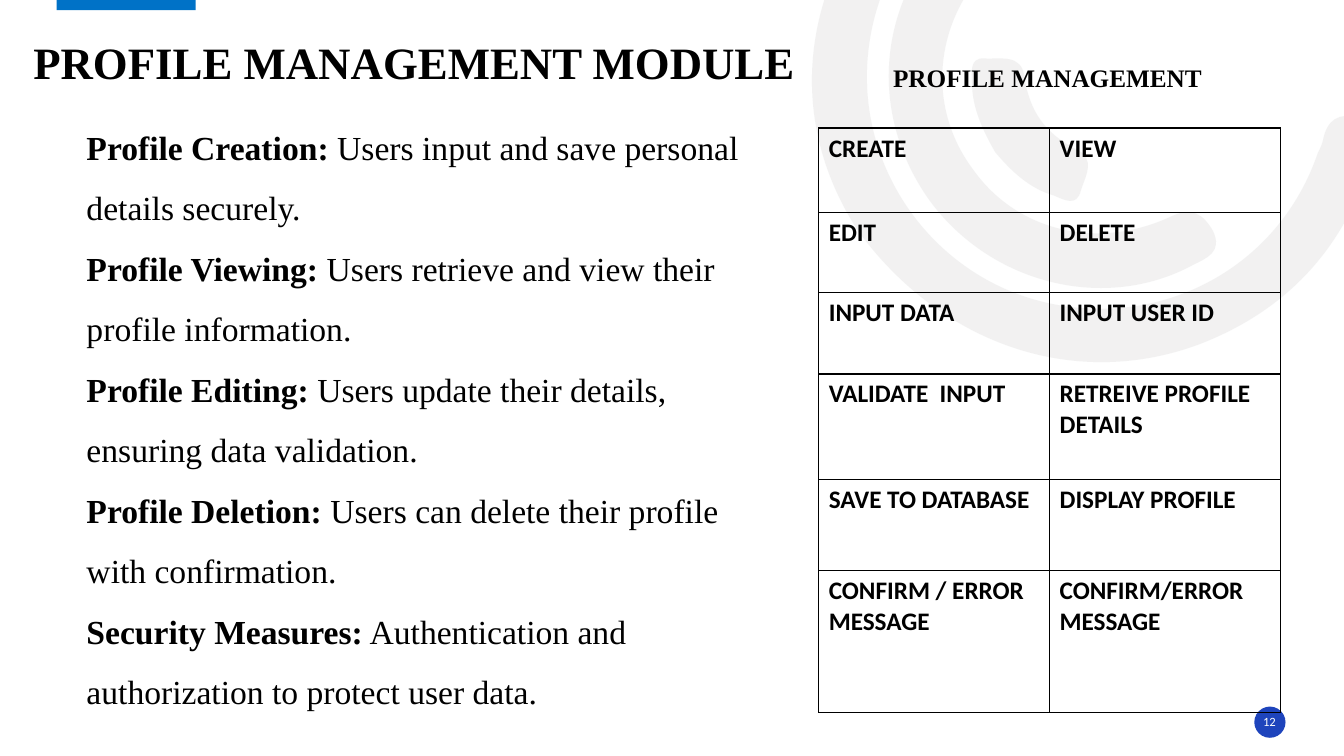
from lxml.etree import SubElement
from pptx import Presentation
from pptx.dml.color import RGBColor
from pptx.enum.shapes import MSO_SHAPE as Preset
from pptx.enum.text import MSO_ANCHOR as Anchor, MSO_AUTO_SIZE as AutoSize, PP_ALIGN as Align
from pptx.oxml.ns import qn
from pptx.util import Inches, Pt

BLACK = RGBColor(0x00, 0x00, 0x00)
WHITE = RGBColor(0xFF, 0xFF, 0xFF)
PALE_GREY = RGBColor(0xE7, 0xE6, 0xE6)
BAR_BLUE = RGBColor(0x00, 0x72, 0xC7)
BADGE_BLUE = RGBColor(0x1E, 0x44, 0xBC)
SERIF = "Times New Roman"
SANS = "Calibri"


def set_font(paragraph, name, size, color, bold=None):
    font = paragraph.font
    font.name, font.size, font.bold = name, Pt(size), bold
    font.color.rgb = color


def paint(shape, color):
    shape.shadow.inherit = False
    shape.fill.solid()
    shape.fill.fore_color.rgb = color
    shape.line.fill.background()


prs = Presentation()
prs.slide_width, prs.slide_height = Inches(13.33), Inches(7.5)
slide = prs.slides.add_slide(prs.slide_layouts[5])
shapes = slide.shapes

# Background arcs: a start point, then Bezier segments (two controls, end)
arcs = [
    ((8.51, 2.29), [
        (7.99, 1.49, 7.87, 0.5, 8.38, -0.5), (8.9, -1.52, 9.76, -2.03, 10.9, -2.07),
        (11.05, -2.07, 11.21, -2.1, 11.31, -1.95), (11.44, -1.75, 11.27, -1.54, 10.98, -1.54),
        (9.67, -1.54, 8.65, -0.59, 8.6, 0.68), (8.56, 1.81, 9.36, 2.81, 10.46, 3.02),
        (11.6, 3.24, 12.7, 2.61, 13.07, 1.52), (13.09, 1.48, 13.11, 1.44, 13.12, 1.4),
        (13.16, 1.19, 13.27, 1.11, 13.49, 1.17), (13.73, 1.24, 13.67, 1.41, 13.61, 1.56),
        (13.34, 2.45, 12.78, 3.07, 11.91, 3.41), (10.7, 3.87, 9.36, 3.45, 8.51, 2.29)]),
    ((9.22, 1.99), [
        (8.62, 1.15, 8.69, 0.07, 9.4, -0.68), (9.51, -0.79, 9.62, -0.95, 9.8, -0.78),
        (9.95, -0.64, 9.97, -0.5, 9.79, -0.32), (9.25, 0.26, 9.2, 1.08, 9.65, 1.68),
        (10.08, 2.29, 10.88, 2.49, 11.61, 2.15), (11.82, 2.05, 11.93, 2.12, 12.03, 2.29),
        (12.13, 2.5, 11.97, 2.56, 11.83, 2.63), (10.96, 3.1, 9.83, 2.82, 9.22, 1.99)]),
    ((9.87, 1.51), [
        (9.75, 1.3, 9.64, 1.07, 9.64, 0.82), (9.64, 0.73, 9.61, 0.57, 9.76, 0.58),
        (9.92, 0.59, 10.13, 0.53, 10.16, 0.76), (10.21, 1.1, 10.36, 1.32, 10.67, 1.48),
        (10.88, 1.57, 10.76, 1.76, 10.72, 1.89), (10.68, 2.06, 10.55, 1.98, 10.45, 1.94),
        (10.21, 1.87, 10.03, 1.7, 9.87, 1.51)]),
]
for start, segments in arcs:
    builder = shapes.build_freeform(Inches(start[0]), Inches(start[1]))
    builder.add_line_segments([(Inches(s[4]), Inches(s[5])) for s in segments], close=True)
    arc = builder.convert_to_shape()
    paint(arc, PALE_GREY)
    tint = next(arc._element.spPr.iter(qn("a:srgbClr")))
    SubElement(tint, qn("a:alpha"), val="53000")
    # Turn each straight segment into its curve
    for line, segment in zip(list(arc._element.iter(qn("a:lnTo"))), segments):
        line.tag = qn("a:cubicBezTo")
        line.remove(line[0])
        for x, y in zip(segment[::2], segment[1::2]):
            SubElement(line, qn("a:pt"), x=str(Inches(x) - arc.left), y=str(Inches(y) - arc.top))

# Accent bar at the top edge
bar = shapes.add_shape(Preset.RECTANGLE, Inches(0.56), Inches(-0.02), Inches(1.38), Inches(0.12))
bar.rotation = 180
paint(bar, BAR_BLUE)

# Page number badge
badge = shapes.add_shape(Preset.OVAL, Inches(12.44), Inches(7.01), Inches(0.31), Inches(0.31))
paint(badge, BADGE_BLUE)
number = shapes.add_textbox(Inches(12.43), Inches(7.06), Inches(0.32), Inches(0.2)).text_frame
number.margin_left = number.margin_right = number.margin_top = number.margin_bottom = 0
number.vertical_anchor = Anchor.MIDDLE
number.word_wrap = True
number.text = "12"
number.paragraphs[0].alignment = Align.CENTER
set_font(number.paragraphs[0], SANS, 9, WHITE)

# Title
title = shapes.title
title.left, title.top, title.width, title.height = (
    Inches(0.33), Inches(-0.12), Inches(12.19), Inches(1.01))
heading = title.text_frame
heading.margin_left = heading.margin_right = heading.margin_top = heading.margin_bottom = 0
heading.vertical_anchor = Anchor.BOTTOM
heading.text = "PROFILE MANAGEMENT MODULE"
heading.paragraphs[0].alignment = Align.LEFT
heading.paragraphs[0].line_spacing = 0.9
set_font(heading.paragraphs[0], SERIF, 32, BLACK, True)

# White panel in the footer corner
panel = shapes.add_shape(Preset.RECTANGLE, Inches(0.33), Inches(6.86), Inches(1.48), Inches(0.49))
paint(panel, WHITE)
panel.line.color.rgb = WHITE
panel.line.width = Pt(1)

# Module features
features = [
    ("Profile Creation:", " Users input and save personal details securely."),
    ("Profile Viewing:", " Users retrieve and view their profile information."),
    ("Profile Editing:", " Users update their details, ensuring data validation."),
    ("Profile Deletion:", " Users can delete their profile with confirmation."),
    ("Security Measures:", " Authentication and authorization to protect user data."),
]
body = shapes.add_textbox(Inches(0.76), Inches(1.01), Inches(6.94), Inches(7.17)).text_frame
body.word_wrap = True
body.auto_size = AutoSize.SHAPE_TO_FIT_TEXT
for i, (feature, description) in enumerate(features):
    paragraph = body.add_paragraph() if i else body.paragraphs[0]
    paragraph.line_spacing = 1.5
    set_font(paragraph, SERIF, 24, BLACK)
    label = paragraph.add_run()
    label.text = feature
    label.font.bold = True
    paragraph.add_run().text = description

# Table of create and view steps
steps = [
    (0.84, "CREATE", "VIEW"),
    (0.79, "EDIT", "DELETE"),
    (0.81, "INPUT DATA", "INPUT USER ID"),
    (1.05, "VALIDATE  INPUT", "RETREIVE PROFILE DETAILS"),
    (0.9, "SAVE TO DATABASE", "DISPLAY PROFILE"),
    (1.41, "CONFIRM / ERROR MESSAGE", "CONFIRM/ERROR MESSAGE"),
]
table = shapes.add_table(len(steps), 2, Inches(8.12), Inches(1.27),
                         Inches(4.58), Inches(5.8)).table
table.first_row = table.horz_banding = False
for row, (height, *labels) in zip(table.rows, steps):
    row.height = Inches(height)
    for cell, text in zip(row.cells, labels):
        cell.text = text
        set_font(cell.text_frame.paragraphs[0], SANS, 18, BLACK, True)
        properties = cell._tc.get_or_add_tcPr()
        for side in ("lnL", "lnR", "lnT", "lnB"):
            border = SubElement(properties, qn(f"a:{side}"), w=str(Pt(1)))
            ink = SubElement(border, qn("a:solidFill"))
            SubElement(ink, qn("a:srgbClr"), val=str(BLACK))
        cell.fill.background()

# Table heading
caption = shapes.add_textbox(Inches(8.76), Inches(0.57), Inches(3.29), Inches(0.4)).text_frame
caption.word_wrap = False
caption.auto_size = AutoSize.SHAPE_TO_FIT_TEXT
caption.text = "PROFILE MANAGEMENT"
set_font(caption.paragraphs[0], SERIF, 18, BLACK, True)

prs.save("out.pptx")
